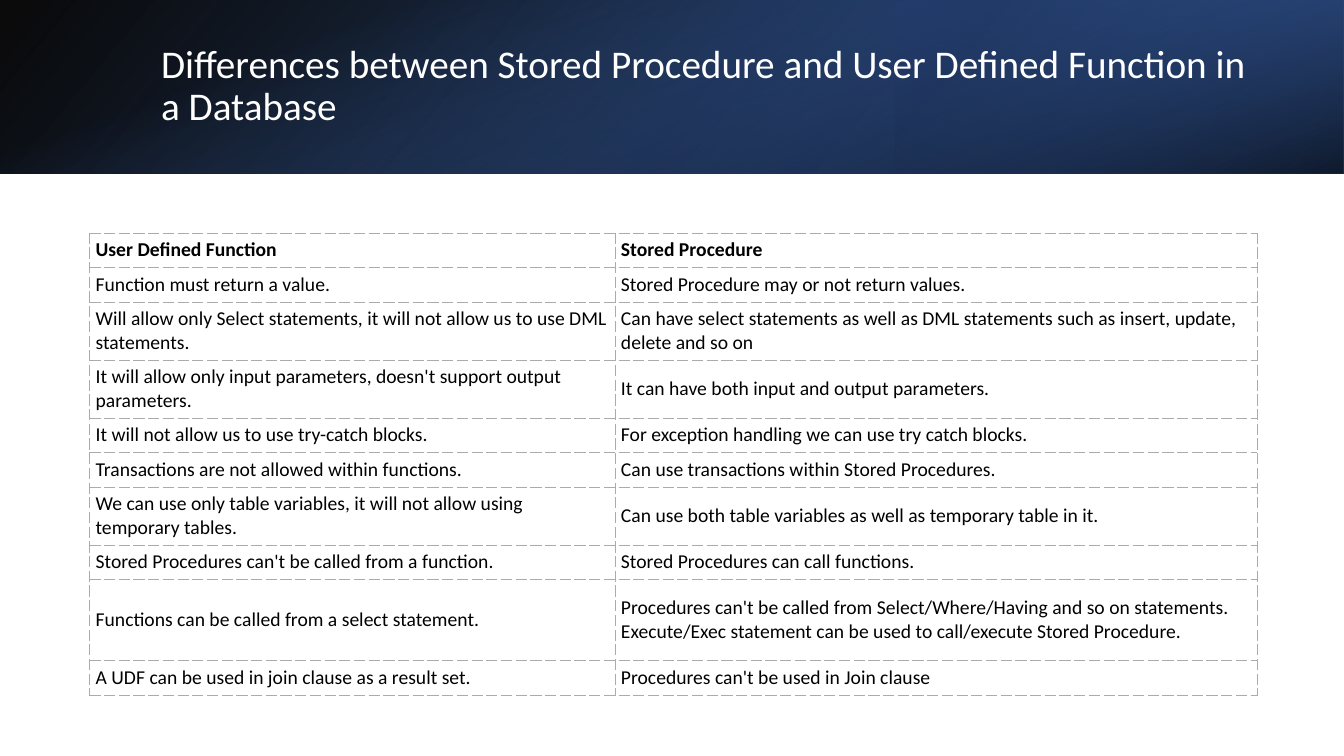
from lxml.etree import SubElement as Sub
from pptx import Presentation
from pptx.dml.color import RGBColor
from pptx.enum.shapes import MSO_SHAPE as Kind
from pptx.enum.text import MSO_ANCHOR as Anchor
from pptx.oxml import parse_xml
from pptx.oxml.ns import nsdecls, qn
from pptx.util import Cm, Pt

WIDE, HIGH = 33.87, 19.05
BAND = 4.37
TITLE = ("Differences between Stored Procedure and "
         "User Defined Function in a Database")
ROWS = [
    (1, "User Defined Function", "Stored Procedure"),
    (1, "Function must return a value.",
     "Stored Procedure may or not return values."),
    (2, "Will allow only Select statements, it will not allow us to use DML statements.",
     "Can have select statements as well as DML statements such as insert, update, "
     "delete and so on"),
    (2, "It will allow only input parameters, doesn't support output parameters.",
     "It can have both input and output parameters."),
    (1, "It will not allow us to use try-catch blocks.",
     "For exception handling we can use try catch blocks."),
    (1, "Transactions are not allowed within functions.",
     "Can use transactions within Stored Procedures."),
    (2, "We can use only table variables, it will not allow using temporary tables.",
     "Can use both table variables as well as temporary table in it."),
    (1, "Stored Procedures can't be called from a function.",
     "Stored Procedures can call functions."),
    (3, "Functions can be called from a select statement.",
     "Procedures can't be called from Select/Where/Having and so on statements. "
     "Execute/Exec statement can be used to call/execute Stored Procedure."),
    (1, "A UDF can be used in join clause as a result set.",
     "Procedures can't be used in Join clause"),
]


def color(code):
    return RGBColor.from_string(code)


def write(frame, text, size=14, bold=False, ink="000000", space=None):
    frame.word_wrap = True
    para = frame.paragraphs[0]
    para.line_spacing = space
    run = para.add_run()
    run.text = text
    font = run.font
    font.name, font.size, font.bold = "Calibri", Pt(size), bold
    font.color.rgb = color(ink)


def blend(stops, angle):
    fill = parse_xml(f'<a:gradFill {nsdecls("a")} rotWithShape="1"/>')
    group = Sub(fill, qn("a:gsLst"))
    for place, code, alpha in stops:
        stop = Sub(group, qn("a:gs"), pos=str(place * 1000))
        tint = Sub(stop, qn("a:srgbClr"), val=code)
        Sub(tint, qn("a:alpha"), val=str(alpha * 1000))
    Sub(fill, qn("a:lin"), ang=str(angle * 60000), scaled="0")
    return fill


def panel(slide, box, stops, angle, turn=0, flip=False):
    shape = slide.shapes.add_shape(Kind.RECTANGLE, *map(Cm, box))
    shape.shadow.inherit = False
    shape.line.fill.background()
    shape.rotation = turn
    props = shape.element.spPr
    if flip:
        props.xfrm.set("flipH", "1")
    props.find(qn("a:prstGeom")).addnext(blend(stops, angle))


def header(slide, left, top, width, height):
    panel(slide, (left, top, width, height),
          [(0, "000000", 96), (100, "2F5597", 100)], 140, flip=True)
    third = width / 3
    panel(slide, (left + 2 * third, top, third, height),
          [(19, "203864", 68), (100, "4472C4", 79)], 320, turn=180, flip=True)
    shift = (width - height) / 2
    panel(slide, (left + shift, top - shift, height, width),
          [(23, "4472C4", 0), (99, "000000", 74)], 340, turn=90)
    box = slide.shapes.add_textbox(Cm(left + 3.81), Cm(top + 0.97), Cm(27.89), Cm(2.44))
    box.text_frame.vertical_anchor = Anchor.MIDDLE
    write(box.text_frame, TITLE, size=28, ink="FFFFFF", space=0.9)


def border(cell):
    props = cell._tc.get_or_add_tcPr()
    for spot, side in enumerate("LRTB"):
        props.insert(spot, parse_xml(
            f'<a:ln{side} {nsdecls("a")} w="6350"><a:solidFill>'
            f'<a:srgbClr val="ABABAB"/></a:solidFill>'
            f'<a:prstDash val="dash"/></a:ln{side}>'))


def matrix(slide, left, top, width):
    tall = [0.28 + 0.59 * row[0] for row in ROWS]
    table = slide.shapes.add_table(len(ROWS), 2, Cm(left), Cm(top),
                                   Cm(width), Cm(sum(tall))).table
    table.first_row = table.horz_banding = False
    for col, share in zip(table.columns, (0.45, 0.55)):
        col.width = Cm(width * share)
    for at, (_, *texts) in enumerate(ROWS):
        table.rows[at].height = Cm(tall[at])
        for cell, text in zip(table.rows[at].cells, texts):
            cell.fill.solid()
            cell.fill.fore_color.rgb = color("FFFFFF")
            cell.margin_left = cell.margin_right = Cm(0.15)
            cell.margin_top = cell.margin_bottom = Cm(0.08)
            cell.vertical_anchor = Anchor.MIDDLE
            write(cell.text_frame, text, bold=at == 0)
            border(cell)


def main():
    deck = Presentation()
    deck.slide_width, deck.slide_height = Cm(WIDE), Cm(HIGH)
    slide = deck.slides.add_slide(deck.slide_layouts[6])
    header(slide, 0, 0, WIDE, BAND)
    matrix(slide, 2.26, 5.87, 29.42)
    deck.save("out.pptx")


if __name__ == "__main__":
    main()
